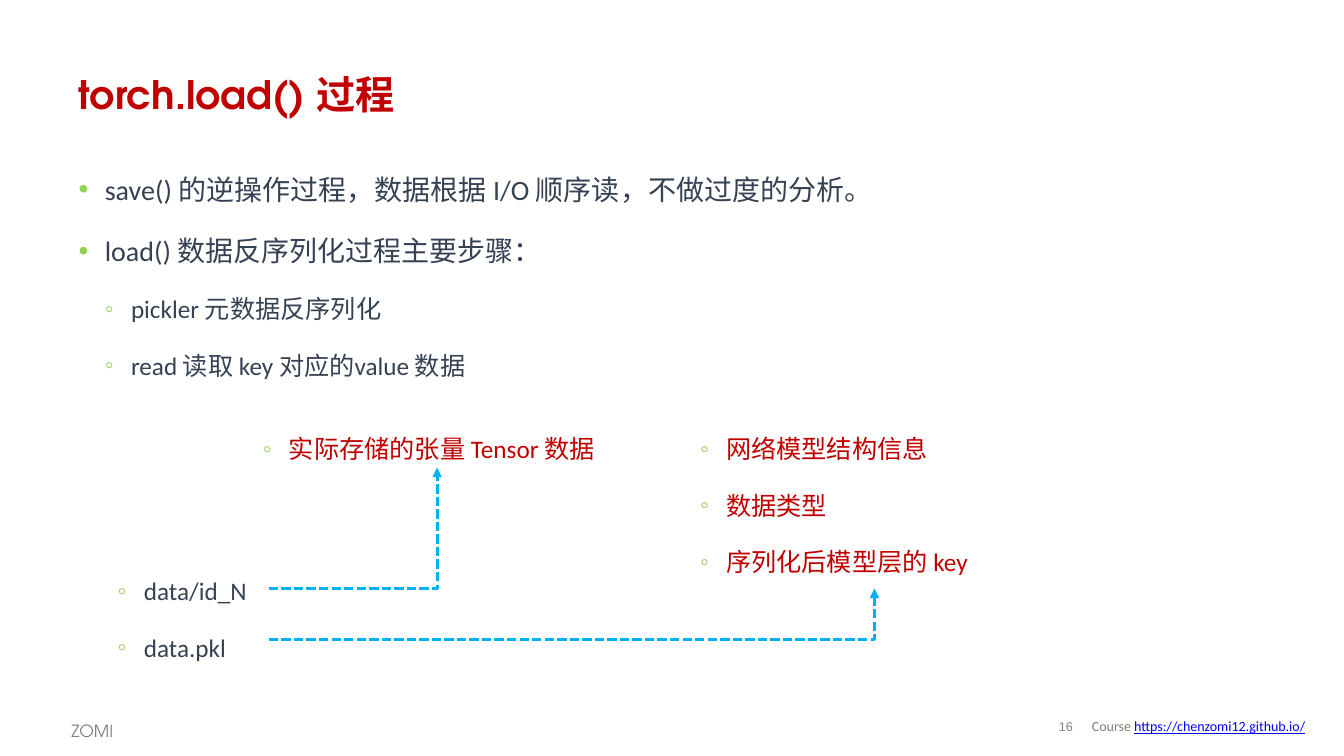
"""Build the slide that explains how torch.load() reads a saved model."""
from dataclasses import dataclass

from lxml.etree import SubElement
from pptx import Presentation
from pptx.dml.color import RGBColor as RGB
from pptx.enum.dml import MSO_LINE
from pptx.enum.shapes import MSO_CONNECTOR as CONN
from pptx.enum.text import MSO_ANCHOR as ANCHOR, MSO_AUTO_SIZE as FIT, PP_ALIGN as ALIGN
from pptx.oxml.ns import qn
from pptx.shapes.autoshape import Shape
from pptx.slide import Slide
from pptx.util import Inches, Pt

WIDTH, HEIGHT = Inches(13.34), Inches(7.5)


@dataclass(frozen=True)
class Theme:
    red: str = "C00000"
    ink: str = "374154"
    grey: str = "808080"
    green: str = "92D050"
    blue: str = "00B0F0"
    link: str = "0000FF"
    display: str = "TeX Gyre Adventor"
    text: str = "Calibri"
    number: str = "Arial"
    title_size: int = 28
    level_sizes: tuple[int, int] = (20, 18)
    footer_sizes: tuple[int, int, int] = (9, 10, 12)


@dataclass(frozen=True)
class Box:
    """A frame in percent of the slide's width and height."""
    left: float
    top: float
    width: float
    height: float


@dataclass(frozen=True)
class Bullets:
    box: Box
    color: str
    items: tuple[tuple[int, str], ...]


@dataclass(frozen=True)
class Arrow:
    """A bent arrow between two points in percent of the slide."""
    start: tuple[float, float]
    end: tuple[float, float]


@dataclass(frozen=True)
class Footer:
    box: Box
    pieces: tuple[tuple[str, str], ...]
    font: str
    size: int
    anchor: ANCHOR = ANCHOR.MIDDLE
    align: ALIGN = ALIGN.LEFT
    spacing: float = 1.0
    inset: float = 0.1


T = Theme()
TITLE_BOX = Box(5.1, 8.13, 89.88, 8.53)
STEPS = Bullets(Box(5.1, 19.87, 89.88, 72.8), T.ink, (
    (0, "save() 的逆操作过程，数据根据 I/O 顺序读，不做过度的分析。"),
    (0, "load() 数据反序列化过程主要步骤："),
    (1, "pickler 元数据反序列化"),
    (1, "read 读取 key 对应的value 数据"),
))
NOTES = (
    Bullets(Box(6.07, 73.47, 30.58, 15.2), T.ink, ((1, "data/id_N"), (1, "data.pkl"))),
    Bullets(Box(16.87, 54.67, 31.26, 7.2), T.red, ((1, "实际存储的张量 Tensor 数据"),)),
    Bullets(Box(49.4, 54.67, 31.26, 23.2), T.red, (
        (1, "网络模型结构信息"), (1, "数据类型"), (1, "序列化后模型层的 key"))),
)
ARROWS = (
    Arrow((20.01, 77.87), (32.53, 61.87)),
    Arrow((20.01, 84.6), (65.07, 77.87)),
)
FOOTERS = (
    Footer(Box(77.96, 94.13, 2.7, 4.13), (("16", T.grey),), T.number,
           T.footer_sizes[0], align=ALIGN.CENTER, spacing=0.85, inset=0),
    Footer(Box(4.57, 94.13, 6, 4.27), (("ZOMI", T.grey),), T.display,
           T.footer_sizes[2], anchor=ANCHOR.TOP, spacing=1.2),
    Footer(Box(80.51, 94.13, 18.44, 3.87),
           (("Course ", T.grey), ("https://chenzomi12.github.io/", T.link)),
           T.text, T.footer_sizes[1]),
)


def across(share: float) -> int:
    return round(WIDTH * share / 100)


def down(share: float) -> int:
    return round(HEIGHT * share / 100)


def frame(box: Box) -> tuple[int, int, int, int]:
    return across(box.left), down(box.top), across(box.width), down(box.height)


def place(sp: Shape, box: Box) -> None:
    sp.left, sp.top, sp.width, sp.height = frame(box)


def style(r, font: str, size: int, color: str, bold: bool = False) -> None:
    r.font.name, r.font.size, r.font.bold = font, Pt(size), bold
    r.font.color.rgb = RGB.from_string(color)


def add_bullet(p, level: int) -> None:
    pPr = p._p.get_or_add_pPr()
    pPr.set("marL", str(Inches(0.26 * (level + 1))))
    pPr.set("indent", str(Inches(-0.26)))
    color = SubElement(pPr, qn("a:buClr"))
    SubElement(color, qn("a:srgbClr"), val=T.green)
    SubElement(pPr, qn("a:buFont"), typeface=T.number)
    SubElement(pPr, qn("a:buChar"), char="•◦"[level])


def fill_bullets(sp: Shape, bullets: Bullets) -> None:
    tf = sp.text_frame
    tf.word_wrap, tf.auto_size = True, FIT.NONE
    tf.text = "\n".join(text for _, text in bullets.items)
    for p, (level, _) in zip(tf.paragraphs, bullets.items):
        p.level, p.alignment = level, ALIGN.LEFT
        p.line_spacing, p.space_before, p.space_after = 1.5, Pt(0), Pt(8)
        add_bullet(p, level)
        style(p.runs[0], T.text, T.level_sizes[level], bullets.color)


def add_title(s: Slide, text: str) -> None:
    sp = s.shapes.title
    place(sp, TITLE_BOX)
    tf = sp.text_frame
    tf.text, tf.vertical_anchor, tf.auto_size = text, ANCHOR.MIDDLE, FIT.NONE
    p = tf.paragraphs[0]
    p.alignment = ALIGN.LEFT
    style(p.runs[0], T.display, T.title_size, T.red, bold=True)


def add_arrow(s: Slide, arrow: Arrow) -> None:
    (x1, y1), (x2, y2) = arrow.start, arrow.end
    sp = s.shapes.add_connector(CONN.ELBOW, across(x1), down(y1), across(x2), down(y2))
    sp.line.color.rgb = RGB.from_string(T.blue)
    sp.line.width, sp.line.dash_style = Pt(2.25), MSO_LINE.SQUARE_DOT
    spPr = sp._element.spPr
    spPr.find(qn("a:prstGeom")).set("prst", "bentConnector2")
    SubElement(spPr.find(qn("a:ln")), qn("a:tailEnd"), type="triangle")
    SubElement(spPr, qn("a:effectLst"))


def add_footer(s: Slide, footer: Footer) -> None:
    tf = s.shapes.add_textbox(*frame(footer.box)).text_frame
    tf.word_wrap, tf.vertical_anchor = True, footer.anchor
    tf.margin_left = tf.margin_right = Inches(footer.inset)
    tf.margin_top = tf.margin_bottom = Inches(footer.inset / 2)
    p = tf.paragraphs[0]
    p.alignment, p.line_spacing = footer.align, footer.spacing
    for text, color in footer.pieces:
        r = p.add_run()
        r.text = text
        style(r, footer.font, footer.size, color)
        r.font.underline = color == T.link


def main() -> None:
    prs = Presentation()
    prs.slide_width, prs.slide_height = WIDTH, HEIGHT
    s = prs.slides.add_slide(prs.slide_layouts[1])
    for footer in FOOTERS:
        add_footer(s, footer)
    add_title(s, "torch.load() 过程")
    body = s.placeholders[1]
    place(body, STEPS.box)
    fill_bullets(body, STEPS)
    for note in NOTES:
        fill_bullets(s.shapes.add_textbox(*frame(note.box)), note)
    for arrow in ARROWS:
        add_arrow(s, arrow)
    prs.save("out.pptx")


if __name__ == "__main__":
    main()
